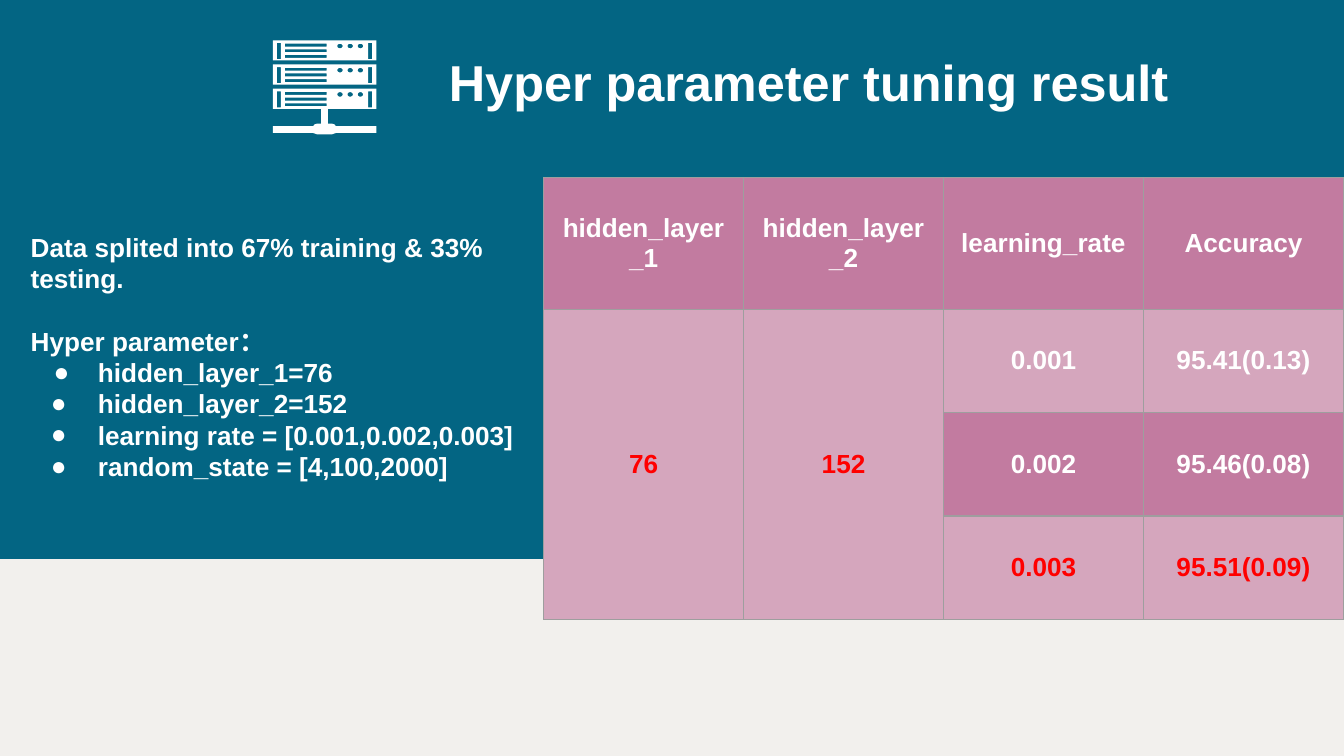
from math import cos, pi, sin

from lxml import etree
from pptx import Presentation
from pptx.dml.color import RGBColor
from pptx.enum.shapes import MSO_SHAPE
from pptx.enum.text import MSO_ANCHOR, MSO_AUTO_SIZE, PP_ALIGN
from pptx.oxml.ns import qn
from pptx.util import Inches, Pt

WHITE = RGBColor(0xFF, 0xFF, 0xFF)
CREAM = RGBColor(0xF2, 0xF0, 0xED)
TEAL = RGBColor(0x03, 0x65, 0x83)
ROSE = RGBColor(0xC2, 0x7B, 0xA0)
PINK = RGBColor(0xD5, 0xA6, 0xBD)
RED = RGBColor(0xFF, 0x00, 0x00)
GREY = RGBColor(0x9E, 0x9E, 0x9E)

HEADERS = ["hidden_layer_1", "hidden_layer_2", "learning_rate", "Accuracy"]
RESULTS = [
    ["76", "152", "0.001", "95.41(0.13)"],
    ["", "", "0.002", "95.46(0.08)"],
    ["", "", "0.003", "95.51(0.09)"],
]
# Text, bullet outdent in grid units (0 for none), space before in points
SETTINGS = [
    ("Data splited into 67% training & 33% testing.", 0, 0),
    ("Hyper parameter：", 0, 16.7),
    ("hidden_layer_1=76", 3.3, 0),
    ("hidden_layer_2=152", 3.5, 0),
    ("learning rate = [0.001,0.002,0.003]", 3.5, 0),
    ("random_state = [4,100,2000]", 3.5, 0),
]


def grid(units):
    """Length of grid units; the slide has 100 columns and 56.25 rows."""
    return Inches(units / 10)


def rectangle(left, top, right, bottom):
    return [(left, top), (right, top), (right, bottom), (left, bottom)]


def ellipse(x, y, radius_x, radius_y, steps=24):
    angles = [2 * pi * step / steps for step in range(steps)]
    return [(x + radius_x * cos(a), y + radius_y * sin(a)) for a in angles]


def server_outlines():
    """Three rack units with cut-out details, on a stand with a cable."""
    outlines = []
    for unit in range(3):
        top = 3 + 1.8 * unit
        outlines.append(rectangle(20.3, top, 28, top + 1.5))
        for left in (20.6, 27.4):
            outlines.append(rectangle(left, top + 0.2, left + 0.3, top + 1.4))
        for slot in range(3):
            y = top + 0.25 + 0.42 * slot
            outlines.append(rectangle(21.2, y, 24.3, y + 0.22))
        for lamp in range(3):
            outlines.append(ellipse(25.3 + 0.76 * lamp, top + 0.43, 0.2, 0.17))
    right_half = [(24.4, 8.1), (24.4, 9.2), (24.7, 9.2), (24.9, 9.27),
                  (25, 9.4), (28, 9.4), (28, 9.9), (25, 9.9), (24.7, 10)]
    left_half = [(48.3 - x, y) for x, y in reversed(right_half)]
    outlines.append(right_half + left_half)
    return outlines


class SlideBuilder:
    font_name = "Arial"
    text_size = 14
    title_size = 27

    def __init__(self, presentation):
        self.slide = presentation.slides.add_slide(presentation.slide_layouts[5])

    def style(self, paragraph, size, color=WHITE):
        font = paragraph.font
        font.name, font.size, font.bold = self.font_name, Pt(size), True
        font.color.rgb = color
        defaults = paragraph._p.pPr.find(qn("a:defRPr"))
        etree.SubElement(defaults, qn("a:ea"), typeface=self.font_name)

    def finish(self, shape, color):
        shape.shadow.inherit = False
        shape.fill.solid()
        shape.fill.fore_color.rgb = color
        shape.line.fill.background()

    def set_margins(self, frame, margin):
        frame.margin_left = frame.margin_right = grid(margin)
        frame.margin_top = frame.margin_bottom = grid(margin)
        frame.word_wrap = True

    def panel(self, left, top, width, height, color):
        shape = self.slide.shapes.add_shape(
            MSO_SHAPE.RECTANGLE, *map(grid, (left, top, width, height)))
        self.finish(shape, color)

    def icon(self, outlines, color):
        outlines = [[(grid(x), grid(y)) for x, y in line] for line in outlines]
        builder = self.slide.shapes.build_freeform(*outlines[0][0])
        for outline in outlines:
            builder.move_to(*outline[0])
            builder.add_line_segments(outline[1:], close=True)
        self.finish(builder.convert_to_shape(), color)

    def title(self, text, left, top, width, height):
        title = self.slide.shapes.title
        title.left, title.top = grid(left), grid(top)
        title.width, title.height = grid(width), grid(height)
        title.element.getparent().append(title.element)  # above the panels
        frame = title.text_frame
        frame.text = text
        frame.auto_size = MSO_AUTO_SIZE.NONE
        frame.vertical_anchor = MSO_ANCHOR.MIDDLE
        self.set_margins(frame, 0.7)
        paragraph = frame.paragraphs[0]
        paragraph.alignment = PP_ALIGN.LEFT
        self.indent(paragraph, 3.8, 3.8)
        self.style(paragraph, self.title_size)

    def indent(self, paragraph, left, first_line):
        properties = paragraph._p.get_or_add_pPr()
        properties.set("marL", str(grid(left)))
        properties.set("indent", str(grid(first_line)))
        return properties

    def bullet(self, paragraph, outdent):
        properties = self.indent(paragraph, 5, -outdent)
        color = etree.SubElement(properties, qn("a:buClr"))
        etree.SubElement(color, qn("a:srgbClr"), val=str(WHITE))
        etree.SubElement(properties, qn("a:buSzPts"),
                         val=str(self.text_size * 100))
        etree.SubElement(properties, qn("a:buFont"), typeface=self.font_name)
        etree.SubElement(properties, qn("a:buChar"), char="●")

    def text(self, items, left, top, width, height):
        box = self.slide.shapes.add_textbox(
            *map(grid, (left, top, width, height)))
        frame = box.text_frame
        self.set_margins(frame, 1)
        for index, (text, outdent, space) in enumerate(items):
            paragraph = frame.add_paragraph() if index else frame.paragraphs[0]
            paragraph.text = text
            paragraph.space_before = Pt(space)
            if outdent:
                self.bullet(paragraph, outdent)
            self.style(paragraph, self.text_size)

    def borders(self, cell):
        properties = cell._tc.get_or_add_tcPr()
        for index, side in enumerate(("lnL", "lnR", "lnT", "lnB")):
            line = etree.Element(qn(f"a:{side}"), w=str(Pt(0.75)))
            fill = etree.SubElement(line, qn("a:solidFill"))
            etree.SubElement(fill, qn("a:srgbClr"), val=str(GREY))
            properties.insert(index, line)

    def cell(self, cell, text, fill, color):
        cell.text = text
        cell.vertical_anchor = MSO_ANCHOR.MIDDLE
        cell.margin_left = cell.margin_right = grid(1)
        cell.margin_top = cell.margin_bottom = grid(1)
        cell.fill.solid()
        cell.fill.fore_color.rgb = fill
        self.borders(cell)
        paragraph = cell.text_frame.paragraphs[0]
        paragraph.alignment = PP_ALIGN.CENTER
        self.style(paragraph, self.text_size, color)

    def table(self, rows, left, top, column_width, row_heights):
        """Banded table whose first two columns span all result rows."""
        columns = len(rows[0])
        table = self.slide.shapes.add_table(
            len(rows), columns, grid(left), grid(top),
            grid(column_width * columns), grid(sum(row_heights))).table
        table.first_row = table.horz_banding = False
        for column in table.columns:
            column.width = grid(column_width)
        last = len(rows) - 1
        for row, values in enumerate(rows):
            table.rows[row].height = grid(row_heights[row])
            for column, value in enumerate(values):
                merged = row > 0 and column < 2
                fill = PINK if merged or row % 2 else ROSE
                color = RED if merged or row == last else WHITE
                self.cell(table.cell(row, column), value, fill, color)
        for column in range(2):
            table.cell(1, column).merge(table.cell(last, column))


def main():
    presentation = Presentation()
    presentation.slide_width = Inches(10)
    presentation.slide_height = Inches(10 * 9 / 16)
    builder = SlideBuilder(presentation)
    builder.panel(-0.2, 0, 101.2, 56.25, CREAM)
    builder.panel(-0.2, 0, 101.2, 41.6, TEAL)
    builder.icon(server_outlines(), WHITE)
    builder.title("Hyper parameter tuning result", 25.1, 3, 63.8, 6.1)
    builder.table([HEADERS] + RESULTS, 40.45, 13.2, 14.88, [9.8] + [7.7] * 3)
    builder.text(SETTINGS, 1.3, 16.2, 38.2, 20.9)
    presentation.save("out.pptx")


if __name__ == "__main__":
    main()
